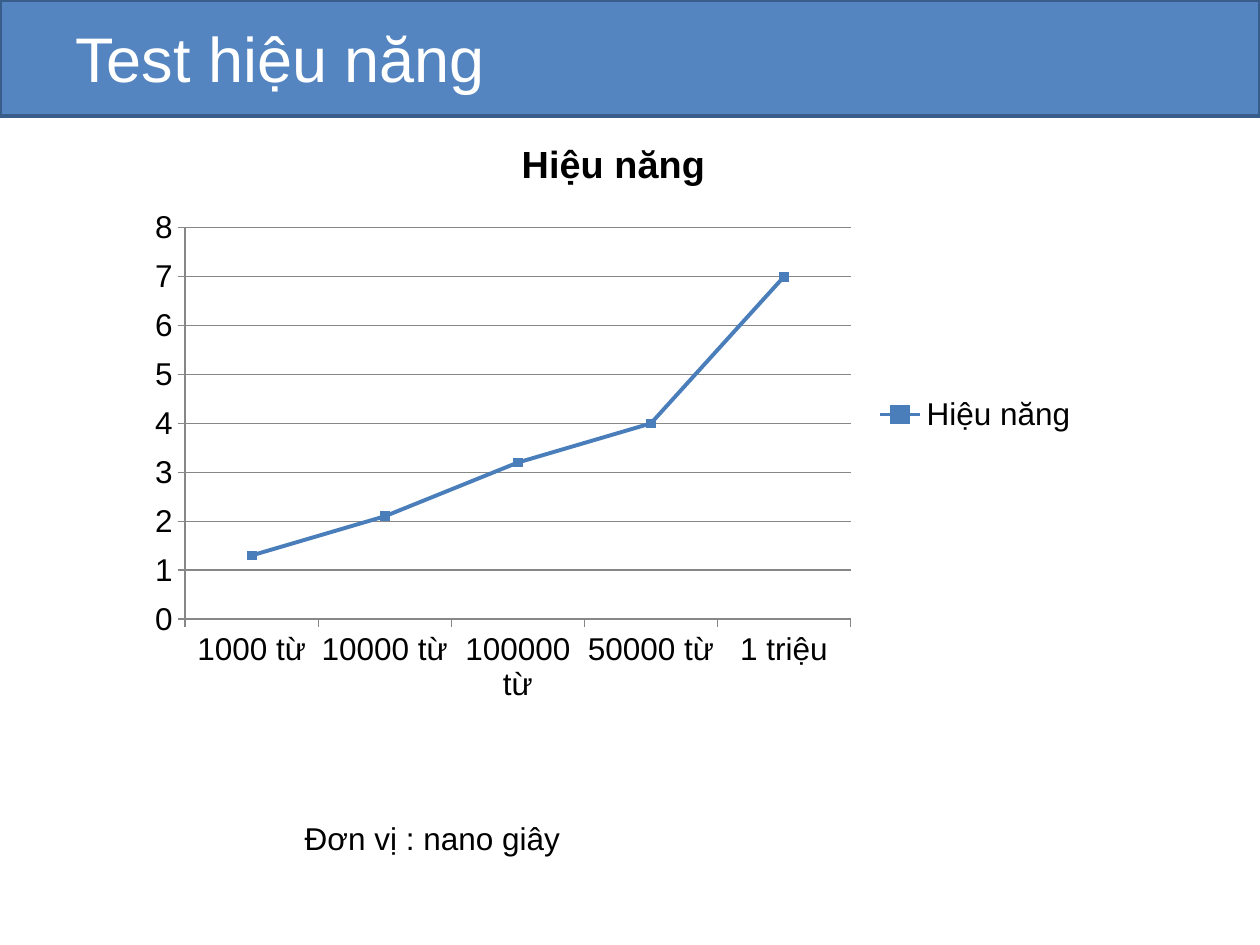
from pptx import Presentation
from pptx.chart.data import CategoryChartData
from pptx.dml.color import RGBColor
from pptx.enum.chart import XL_CHART_TYPE, XL_LEGEND_POSITION, XL_MARKER_STYLE, XL_TICK_MARK
from pptx.enum.shapes import MSO_SHAPE
from pptx.enum.text import MSO_ANCHOR
from pptx.util import Inches, Pt

RECT = MSO_SHAPE.RECTANGLE
LINE = XL_CHART_TYPE.LINE_MARKERS_STACKED
RIGHT = XL_LEGEND_POSITION.RIGHT
SQUARE = XL_MARKER_STYLE.SQUARE
OUT = XL_TICK_MARK.OUTSIDE
TOP, MIDDLE = MSO_ANCHOR.TOP, MSO_ANCHOR.MIDDLE

FONT = "Arial"
COLORS = {
    "band": "5485C0",
    "edge": "385D8A",
    "white": "FFFFFF",
    "black": "000000",
    "series": "4A7EBB",
    "grid": "878787",
}
CATS = ["1000 từ", "10000 từ", "100000 từ", "50000 từ", "1 triệu"]
TIMES = [1.3, 2.1, 3.2, 4, 7]


def color(name):
    return RGBColor.from_string(COLORS[name])


def box(values):
    return [Inches(v) for v in values]


def style(font, size, name, bold=False):
    font.name = FONT
    font.size = Pt(size)
    font.bold = bold
    font.color.rgb = color(name)


def add_band(slide, at):
    band = slide.shapes.add_shape(RECT, *box(at))
    band.shadow.inherit = False
    band.fill.solid()
    band.fill.fore_color.rgb = color("band")
    band.line.color.rgb = color("edge")
    band.line.width = Pt(2)


def add_text(slide, at, text, size, name, anchor=TOP):
    frame = slide.shapes.add_textbox(*box(at)).text_frame
    frame.word_wrap = True
    frame.vertical_anchor = anchor
    run = frame.paragraphs[0].add_run()
    run.text = text
    style(run.font, size, name)


def style_axis(axis):
    axis.major_tick_mark = OUT
    axis.format.line.color.rgb = color("grid")
    axis.format.line.width = Pt(0.75)
    style(axis.tick_labels.font, 18, "black")


def add_chart(slide, at, title):
    data = CategoryChartData()
    data.categories = CATS
    data.add_series(title, TIMES)
    chart = slide.shapes.add_chart(LINE, *box(at), data).chart
    style(chart.font, 18, "black")

    # Title and legend
    chart.has_title = True
    run = chart.chart_title.text_frame.paragraphs[0].add_run()
    run.text = title
    style(run.font, 21.6, "black", bold=True)
    chart.chart_title.include_in_layout = False
    chart.has_legend = True
    chart.legend.position = RIGHT
    chart.legend.include_in_layout = False
    style(chart.legend.font, 18, "black")

    # Axes and grid
    for axis in (chart.category_axis, chart.value_axis):
        style_axis(axis)
    scale = chart.value_axis
    scale.minimum_scale, scale.maximum_scale, scale.major_unit = 0, 8, 1
    scale.has_major_gridlines = True
    grid = scale.major_gridlines.format.line
    grid.color.rgb = color("grid")
    grid.width = Pt(0.75)

    # Line and markers
    plot = chart.plots[0]
    plot.vary_by_categories = False
    series = plot.series[0]
    series.smooth = False
    series.format.line.color.rgb = color("series")
    series.format.line.width = Pt(2.25)
    mark = series.marker
    mark.style = SQUARE
    mark.size = 5
    mark.format.fill.solid()
    mark.format.fill.fore_color.rgb = color("series")
    mark.format.line.color.rgb = color("series")


def main():
    deck = Presentation()
    deck.slide_width, deck.slide_height = Inches(10), Inches(7.5)
    slide = deck.slides.add_slide(deck.slide_layouts[6])

    # Header
    add_band(slide, (0, 0, 10, 0.92))
    add_text(slide, (0.5, 0, 9.49, 0.91), "Test hiệu năng", 36, "white", MIDDLE)

    # Unit note and chart
    add_text(slide, (2.32, 6.45, 5.91, 0.47), "Đơn vị : nano giây", 18, "black")
    add_chart(slide, (1.08, 0.91, 7.58, 4.76), "Hiệu năng")

    deck.save("out.pptx")


if __name__ == "__main__":
    main()
